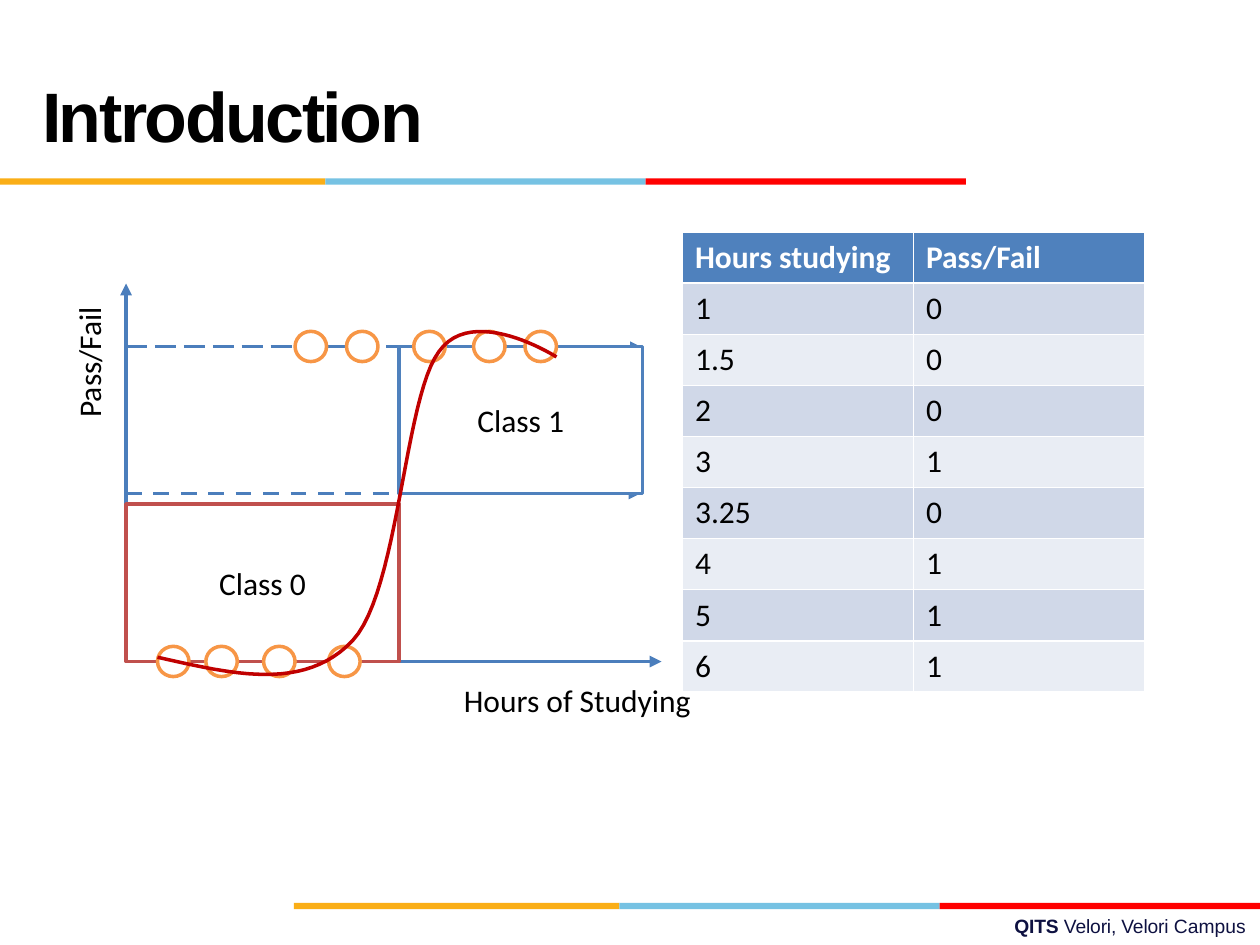
import dataclasses
import typing
import lxml.etree
import pptx
import pptx.dml.color
import pptx.enum.dml
import pptx.enum.shapes
import pptx.enum.text
import pptx.oxml.ns
import pptx.util

COLS, ROWS = 120, 90
DECK = pptx.Presentation()
DECK.slide_width = pptx.util.Inches(10)
DECK.slide_height = pptx.util.Inches(7.5)
PAGE = DECK.slides.add_slide(DECK.slide_layouts[6])
KIND = pptx.enum.shapes.MSO_SHAPE
DASH = pptx.enum.dml.MSO_LINE
SIDE = pptx.enum.text.PP_ALIGN
MID = pptx.enum.text.MSO_ANCHOR.MIDDLE
FIT = pptx.enum.text.MSO_AUTO_SIZE.SHAPE_TO_FIT_TEXT

BLUE, EDGE, RED, ORANGE = "4F81BD", "4B7EBC", "C0504D", "F79646"
WHITE, BLACK, NAVY, CURVE = "FFFFFF", "000000", "0E1141", "C00000"
BARS = [("FAAE17", 31), ("76C2E3", 30.5), ("FF0000", 30.5)]
BODY = {"name": "Calibri", "size": pptx.util.Pt(18), "bold": False}
HEAD = BODY | {"bold": True}
TITLE = {"name": "Arial", "size": pptx.util.Pt(40), "bold": True}
FOOT = {"name": "Arial", "size": pptx.util.Pt(11), "bold": False}
BARE = dict.fromkeys(("margin_left", "margin_top", "margin_right", "margin_bottom"), 0)
MARKS = {33: (29.6, 34.5, 40.9, 46.6, 51.5), 63: (16.5, 21.1, 26.6, 32.8)}
DATA = [("Hours studying", "Pass/Fail"), ("1", "0"), ("1.5", "0"), ("2", "0"),
        ("3", "1"), ("3.25", "0"), ("4", "1"), ("5", "1"), ("6", "1")]
BENDS = [((15, 62.6), (22.1, 64.2), (29, 65.9), (33.6, 61)),
         ((33.6, 61), (38, 56.2), (38.5, 37.9), (41.8, 33.5)),
         ((41.8, 33.5), (45, 28.9), (53, 34), (53, 34))]
STEPS = 24


@dataclasses.dataclass
class Box:
    col: float
    row: float
    wide: float
    high: float

    def place(self) -> tuple[int, ...]:
        return across(self.col), down(self.row), across(self.wide), down(self.high)


@dataclasses.dataclass
class Arrow:
    start: tuple[float, float]
    end: tuple[float, float]
    width: float = 2.25
    dash: typing.Any = None


@dataclasses.dataclass
class Zone:
    label: str
    box: Box
    edge: str


def across(cols: float) -> int:
    return round(DECK.slide_width * cols / COLS)


def down(rows: float) -> int:
    return round(DECK.slide_height * rows / ROWS)


def color(code: str) -> pptx.dml.color.RGBColor:
    return pptx.dml.color.RGBColor.from_string(code)


def apply(item: typing.Any, look: dict) -> None:
    for key, value in look.items():
        setattr(item, key, value)


def paint(item: typing.Any, code: str) -> None:
    item.fill.solid()
    item.fill.fore_color.rgb = color(code)


def stroke(item: typing.Any, code: str, width: float) -> None:
    item.line.color.rgb = color(code)
    item.line.width = pptx.util.Pt(width)


def write(para: typing.Any, text: str, look: dict, code: str, gap: int = 0) -> None:
    run = para.add_run()
    run.text = text
    apply(run.font, look)
    run.font.color.rgb = color(code)
    if gap:
        run.font._element.set("spc", str(gap))


def shape(kind: typing.Any, box: Box, fill: str) -> typing.Any:
    item = PAGE.shapes.add_shape(kind, *box.place())
    item.shadow.inherit = False
    paint(item, fill)
    return item


def frame(box: Box, look: dict) -> typing.Any:
    item = PAGE.shapes.add_textbox(*box.place())
    apply(item.text_frame, {"word_wrap": True, "auto_size": FIT} | look)
    return item


def stripe(col: float, row: float) -> None:
    for code, wide in BARS:
        shape(KIND.RECTANGLE, Box(col, row, wide, 0.6), code).line.fill.background()
        col += wide


def arrow(spec: Arrow) -> None:
    ends = [fn(n) for pair in (spec.start, spec.end) for fn, n in zip((across, down), pair)]
    item = PAGE.shapes.add_connector(pptx.enum.shapes.MSO_CONNECTOR.STRAIGHT, *ends)
    stroke(item, EDGE, spec.width)
    if spec.dash:
        item.line.dash_style = spec.dash
    name = pptx.oxml.ns.qn
    lxml.etree.SubElement(item.line._get_or_add_ln(), name("a:tailEnd"), type="triangle")
    lxml.etree.SubElement(item._element.spPr, name("a:effectLst"))


def dot(col: float, row: float) -> None:
    stroke(shape(KIND.OVAL, Box(col - 1.5, row - 1.44, 3, 2.88), WHITE), ORANGE, 2)


def zone(area: Zone) -> None:
    item = shape(KIND.RECTANGLE, area.box, WHITE)
    stroke(item, area.edge, 2)
    item.text_frame.vertical_anchor = MID
    para = item.text_frame.paragraphs[0]
    para.alignment = SIDE.CENTER
    write(para, area.label, BODY, BLACK)


def label(text: str, box: Box, turn: int = 0) -> None:
    item = frame(box, {"word_wrap": False})
    item.rotation = turn
    write(item.text_frame.paragraphs[0], text, BODY, BLACK)


def point(bend: tuple, t: float) -> tuple[int, int]:
    share = ((1 - t) ** 3, 3 * t * (1 - t) ** 2, 3 * t * t * (1 - t), t ** 3)
    col, row = (sum(s * p[axis] for s, p in zip(share, bend)) for axis in (0, 1))
    return across(col), down(row)


def curve() -> None:
    dots = [point(bend, n / STEPS) for bend in BENDS for n in range(1, STEPS + 1)]
    pen = PAGE.shapes.build_freeform(*point(BENDS[0], 0))
    pen.add_line_segments(dots, close=False)
    item = pen.convert_to_shape()
    item.shadow.inherit = False
    item.fill.background()
    stroke(item, CURVE, 2)


def table(box: Box) -> None:
    grid = PAGE.shapes.add_table(len(DATA), len(DATA[0]), *box.place()).table
    for r, line in enumerate(DATA):
        look, ink = (BODY, BLACK) if r else (HEAD, WHITE)
        fill = ("E9EDF4", "D0D8E8")[r % 2] if r else BLUE
        for c, text in enumerate(line):
            cell = grid.cell(r, c)
            paint(cell, fill)
            write(cell.text_frame.paragraphs[0], text, look, ink)


def main() -> None:
    stripe(28, 86)
    stripe(0, 17)
    para = frame(Box(4, 6.9, 39, 8.3), BARE).text_frame.paragraphs[0]
    para.space_before = pptx.util.Pt(0.9)
    write(para, "Introduction", TITLE, BLACK, -140)
    para = frame(Box(96.6, 87.1, 22.2, 2.4), BARE).text_frame.paragraphs[0]
    write(para, "QITS ", FOOT | {"bold": True}, NAVY, -10)
    write(para, "Velori, Velori ", FOOT, NAVY, -10)
    write(para, "Campus", FOOT, NAVY)
    table(Box(65, 22.1, 44, 43.8))
    arrow(Arrow((12, 63), (63, 63)))
    arrow(Arrow((12, 63), (12, 27)))
    arrow(Arrow((12, 33), (61, 33), 1.5, DASH.LONG_DASH))
    for col in MARKS[33][:2]:
        dot(col, 33)
    arrow(Arrow((12, 47), (61, 47), 2.25, DASH.DASH))
    zone(Zone("Class 1", Box(38, 33, 23.2, 14), BLUE))
    zone(Zone("Class 0", Box(12, 48, 26, 15), RED))
    for col in MARKS[33][2:]:
        dot(col, 33)
    for col in MARKS[63]:
        dot(col, 63)
    curve()
    label("Hours of Studying", Box(43, 64.3, 24.2, 4.8))
    label("Pass/Fail", Box(1.9, 32, 13.1, 4.8), 270)
    DECK.save("out.pptx")


if __name__ == "__main__":
    main()
